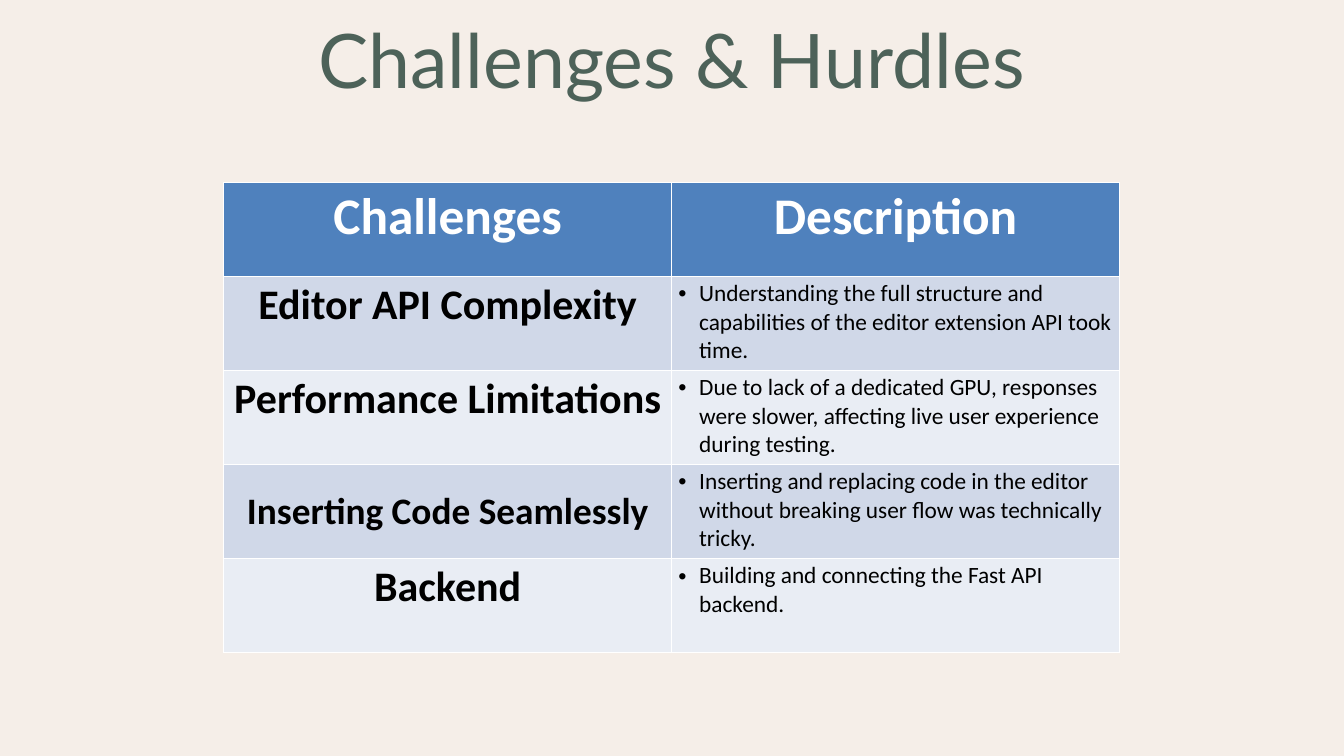
from lxml import etree
from pptx import Presentation
from pptx.dml.color import RGBColor
from pptx.enum.text import MSO_ANCHOR, MSO_AUTO_SIZE, PP_ALIGN
from pptx.oxml.ns import qn
from pptx.util import Inches, Pt

CENTER, LEFT = PP_ALIGN.CENTER, PP_ALIGN.LEFT
TOP, MIDDLE = MSO_ANCHOR.TOP, MSO_ANCHOR.MIDDLE
NO_AUTOFIT = MSO_AUTO_SIZE.NONE

CREAM = RGBColor(0xF5, 0xEE, 0xE8)
GREEN = RGBColor(0x4D, 0x62, 0x59)
BLUE = RGBColor(0x4F, 0x81, 0xBD)
BAND_DARK = RGBColor(0xD0, 0xD8, 0xE8)
BAND_LIGHT = RGBColor(0xE9, 0xED, 0xF4)
WHITE = RGBColor(0xFF, 0xFF, 0xFF)
BLACK = RGBColor(0x00, 0x00, 0x00)

HEADERS = ["Challenges", "Description"]
CHALLENGES = [
    ("Editor API Complexity", 45, TOP,
     "Understanding the full structure and capabilities of the editor "
     "extension API took time."),
    ("Performance Limitations", 45, TOP,
     "Due to lack of a dedicated GPU, responses were slower, affecting live "
     "user experience during testing."),
    ("Inserting Code Seamlessly", 40, MIDDLE,
     "Inserting and replacing code in the editor without breaking user flow "
     "was technically tricky."),
    ("Backend", 45, TOP, "Building and connecting the Fast API backend."),
]


def format_run(r, font, size, color, bold=False):
    r.font.name = font
    r.font.size = Pt(size)
    r.font.color.rgb = color
    r.font.bold = bold


def add_bullet(p, indent):
    pPr = p._p.get_or_add_pPr()
    pPr.set("marL", str(indent))
    pPr.set("indent", str(-indent))
    etree.SubElement(pPr, qn("a:buFont")).set("typeface", "Arial")
    etree.SubElement(pPr, qn("a:buChar")).set("char", "•")


def set_title(s, text):
    title = s.shapes.title
    title.left, title.top = Inches(4.28), Inches(0.54)
    title.width, title.height = Inches(11.43), Inches(1.04)
    tf = title.text_frame
    tf.text = text
    tf.auto_size = NO_AUTOFIT
    tf.vertical_anchor = TOP
    tf.margin_left = tf.margin_right = tf.margin_top = tf.margin_bottom = 0
    p = tf.paragraphs[0]
    p.alignment = CENTER
    p.line_spacing = Pt(72.6)
    format_run(p.runs[0], "Lato", 80.6, GREEN)


def fill_cell(cell, text, size, color, fill, bold=True, anchor=TOP, bullet=False):
    cell.fill.solid()
    cell.fill.fore_color.rgb = fill
    cell.vertical_anchor = anchor
    cell.text = text
    p = cell.text_frame.paragraphs[0]
    p.alignment = LEFT if bullet else CENTER
    if bullet:
        add_bullet(p, Inches(0.31))
    format_run(p.runs[0], "Calibri", size, color, bold)


def add_challenge_table(s):
    rows = len(CHALLENGES) + 1
    table = s.shapes.add_table(rows, len(HEADERS), Inches(3.33), Inches(2.71),
                               Inches(13.33), Inches(1.4 * rows)).table
    for col, text in enumerate(HEADERS):
        fill_cell(table.cell(0, col), text, 55, WHITE, BLUE)
    for row, (name, size, anchor, description) in enumerate(CHALLENGES, 1):
        band = BAND_DARK if row % 2 else BAND_LIGHT
        fill_cell(table.cell(row, 0), name, size, BLACK, band, anchor=anchor)
        fill_cell(table.cell(row, 1), description, 25, BLACK, band,
                  bold=False, bullet=True)


def main():
    prs = Presentation()
    prs.slide_width, prs.slide_height = Inches(20), Inches(11.25)
    s = prs.slides.add_slide(prs.slide_layouts.get_by_name("Title Only"))
    s.background.fill.solid()
    s.background.fill.fore_color.rgb = CREAM
    set_title(s, "Challenges & Hurdles")
    add_challenge_table(s)
    prs.save("out.pptx")


if __name__ == "__main__":
    main()
